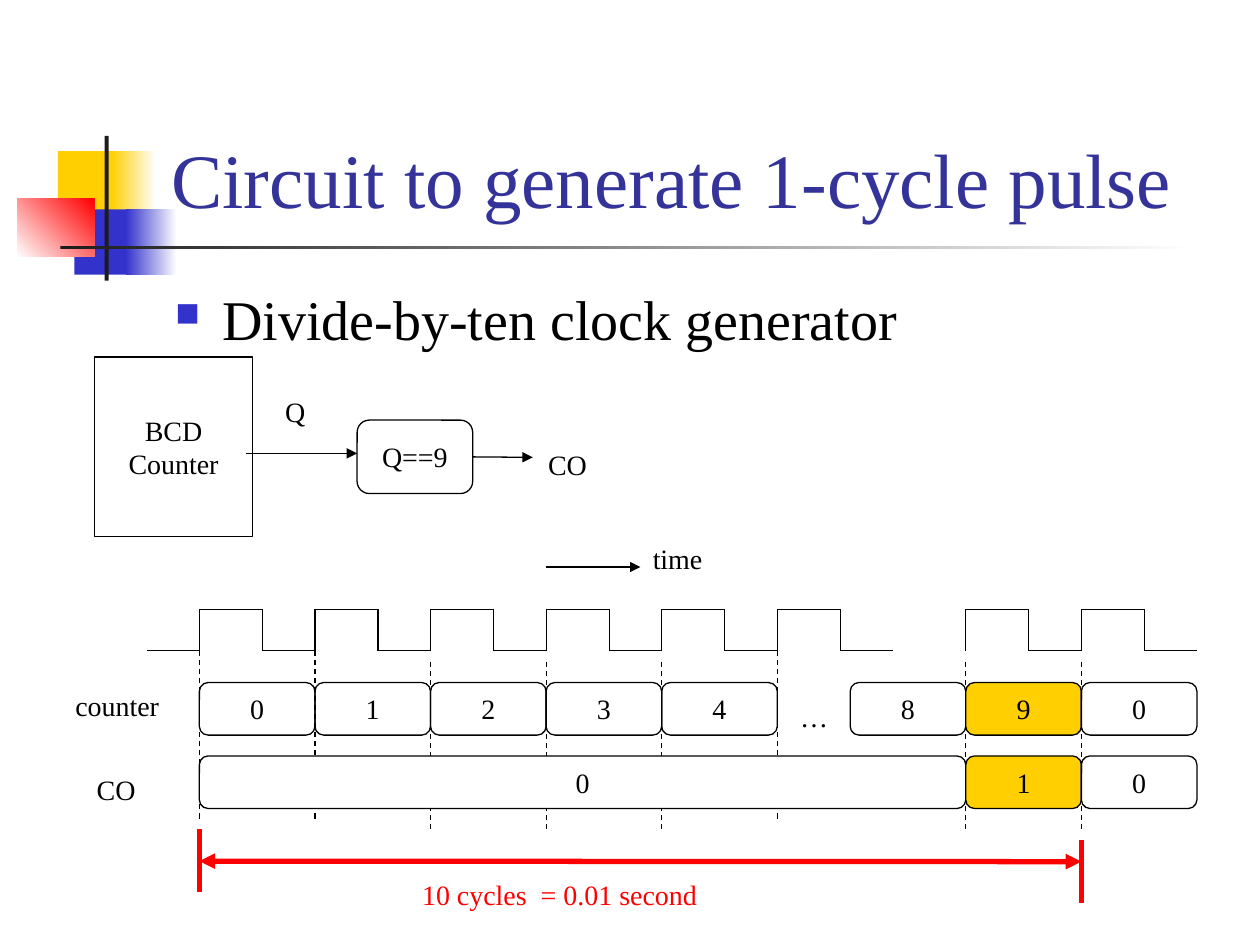
"""Build the slide on a divide-by-ten clock generator with its timing chart."""
from lxml import etree
from pptx import Presentation
from pptx.dml.color import RGBColor
from pptx.enum.dml import MSO_LINE
from pptx.enum.shapes import MSO_CONNECTOR, MSO_SHAPE
from pptx.enum.text import MSO_ANCHOR, MSO_AUTO_SIZE, PP_ALIGN
from pptx.oxml.ns import qn
from pptx.util import Cm, Pt

RECT, ROUND = MSO_SHAPE.RECTANGLE, MSO_SHAPE.ROUNDED_RECTANGLE
STRAIGHT, DASH = MSO_CONNECTOR.STRAIGHT, MSO_LINE.DASH
LEFT, CENTER = PP_ALIGN.LEFT, PP_ALIGN.CENTER
MIDDLE, BOTTOM = MSO_ANCHOR.MIDDLE, MSO_ANCHOR.BOTTOM
NONE, GROW = MSO_AUTO_SIZE.NONE, MSO_AUTO_SIZE.SHAPE_TO_FIT_TEXT

BLACK = RGBColor(0x00, 0x00, 0x00)
WHITE = RGBColor(0xFF, 0xFF, 0xFF)
GOLD = RGBColor(0xFF, 0xCF, 0x01)
BLUE = RGBColor(0x33, 0x33, 0xCC)
NAVY = RGBColor(0x33, 0x33, 0x99)
RED = RGBColor(0xFF, 0x00, 0x00)
COAL = RGBColor(0x1C, 0x1C, 0x1C)

deck = Presentation()
deck.slide_width, deck.slide_height = Cm(25.4), Cm(19.05)
slide = deck.slides.add_slide(deck.slide_layouts[5])
shapes = slide.shapes


def write(frame, text, size=16, tone=BLACK, align=LEFT, **form):
    frame.text = text
    for key, value in form.items():
        setattr(frame, key, value)
    for para in frame.paragraphs:
        para.alignment = align
        for run in para.runs:
            for key, value in {"name": "Times New Roman", "size": Pt(size)}.items():
                setattr(run.font, key, value)
            run.font.color.rgb = tone


def draw(x1, y1, x2, y2, tone=BLACK, width=0.75, dash=None, ends=()):
    wire = shapes.add_connector(STRAIGHT, Cm(x1), Cm(y1), Cm(x2), Cm(y2))
    wire.line.color.rgb = tone
    wire.line.width = Pt(width)
    if dash:
        wire.line.dash_style = dash
    props = wire._element.spPr
    for end in ends:
        etree.SubElement(props.find(qn("a:ln")), qn(end), type="triangle")
    etree.SubElement(props, qn("a:effectLst"))
    return wire


BARS = [
    (1.17, 3.05, 1.22, 1.32, GOLD, None, 0),
    (2.24, 3.05, 0.91, 1.32, GOLD, WHITE, 0),
    (1.5, 4.22, 1.17, 1.32, BLUE, None, 0),
    (2.54, 4.22, 1.02, 1.32, BLUE, WHITE, 0),
    (0.35, 4.01, 1.55, 1.17, WHITE, RED, 45),
    (2.11, 2.74, 0.08, 2.92, COAL, None, 0),
    (1.22, 4.95, 22.86, 0.08, COAL, WHITE, 0),
]
for x, y, w, h, tone, fade, angle in BARS:
    bar = shapes.add_shape(RECT, Cm(x), Cm(y), Cm(w), Cm(h))
    bar.shadow.inherit = False
    bar.line.fill.background()
    if fade is None:
        bar.fill.solid()
        bar.fill.fore_color.rgb = tone
    else:
        bar.fill.gradient()
        bar.fill.gradient_angle = angle
        for stop, shade in zip(bar.fill.gradient_stops, (tone, fade)):
            stop.color.rgb = shade

title = shapes.title
place = {"left": Cm(3.2), "top": Cm(0.58), "width": Cm(21.64), "height": Cm(4.06)}
for key, value in place.items():
    setattr(title, key, value)
write(title.text_frame, "Circuit to generate 1-cycle pulse", 44, NAVY,
      vertical_anchor=BOTTOM, auto_size=NONE, word_wrap=True)

body = shapes.add_textbox(Cm(3.28), Cm(5.61), Cm(21.59), Cm(1.8)).text_frame
write(body, "Divide-by-ten clock generator", 32, word_wrap=True)
props = body.paragraphs[0]._p.get_or_add_pPr()
props.set("marL", str(Cm(0.95)))
props.set("indent", str(Cm(-0.95)))
hue = etree.SubElement(props, qn("a:buClr"))
etree.SubElement(hue, qn("a:srgbClr"), val=str(BLUE))
etree.SubElement(props, qn("a:buSzPct"), val="60000")
etree.SubElement(props, qn("a:buChar"), char="■")

START, STEP, HIGH = 4.02, 2.33, 1.27
TOP, BASE = 12.28, 13.12
LATE = 19.47
ticks = [START + i * STEP for i in range(6)] + [LATE, LATE + STEP]

draw(2.96, BASE, START, BASE)
for i, x in enumerate(ticks):
    fall, stop = x + HIGH, x + STEP
    draw(x, BASE, x, TOP)
    draw(x, TOP, fall, TOP)
    draw(fall, TOP, fall, BASE)
    draw(fall, BASE, stop, BASE)
    drop = 0 if i in (0, 1, 5) else 0.22
    draw(x, BASE + drop, x, 16.51 + drop, dash=DASH)

ROW, OUT, TALL = 13.76, 15.24, 1.06
boxes = [
    (RECT, "BCD\nCounter", 1.91, 7.2, 3.18, 3.61, None),
    (ROUND, "Q==9", 7.2, 8.47, STEP, 1.48, None),
    (ROUND, "0", START, OUT, LATE - START, TALL, WHITE),
    (ROUND, "1", LATE, OUT, STEP, TALL, GOLD),
    (ROUND, "0", LATE + STEP, OUT, STEP, TALL, None),
]
cells = ticks[:5] + [LATE - STEP] + ticks[6:]
for digit, x in zip("01234890", cells):
    boxes.append((ROUND, digit, x, ROW, STEP, TALL, GOLD if digit == "9" else None))
made = {}
for kind, text, x, y, w, h, tone in boxes:
    box = shapes.add_shape(kind, Cm(x), Cm(y), Cm(w), Cm(h))
    box.shadow.inherit = False
    box.line.color.rgb = BLACK
    box.line.width = Pt(0.75)
    if tone is None:
        box.fill.background()
    else:
        box.fill.solid()
        box.fill.fore_color.rgb = tone
    write(box.text_frame, text, align=CENTER, vertical_anchor=MIDDLE)
    made[text] = box

TAIL = ("a:tailEnd",)
draw(4.95, 9.14, 7.2, 9.14, ends=TAIL)
draw(9.53, 9.21, 10.74, 9.22, ends=TAIL).begin_connect(made["Q==9"], 3)
draw(11.01, 11.43, 12.91, 11.43, ends=TAIL)

END = LATE + STEP
draw(START, 16.72, START, 17.99, RED, 3)
draw(END, 16.93, END, 18.2, RED, 3)
draw(START, 17.36, END, 17.37, RED, 3, ends=("a:headEnd", "a:tailEnd"))

LABELS = [
    ("Q", 5.5, 7.83, 0.91, BLACK),
    ("CO", 10.8, 8.89, 1.3, BLACK),
    ("time", 12.91, 10.8, 1.52, BLACK),
    ("counter", 1.27, 13.76, 2.21, BLACK),
    ("CO", 1.7, 15.45, 1.3, BLACK),
    ("…", 15.88, 13.97, 1.07, BLACK),
    ("10 cycles  = 0.01 second", 8.26, 17.57, 6.12, RED),
]
for text, x, y, w, tone in LABELS:
    label = shapes.add_textbox(Cm(x), Cm(y), Cm(w), Cm(0.94))
    write(label.text_frame, text, tone=tone, word_wrap=False, auto_size=GROW)

deck.save("out.pptx")
